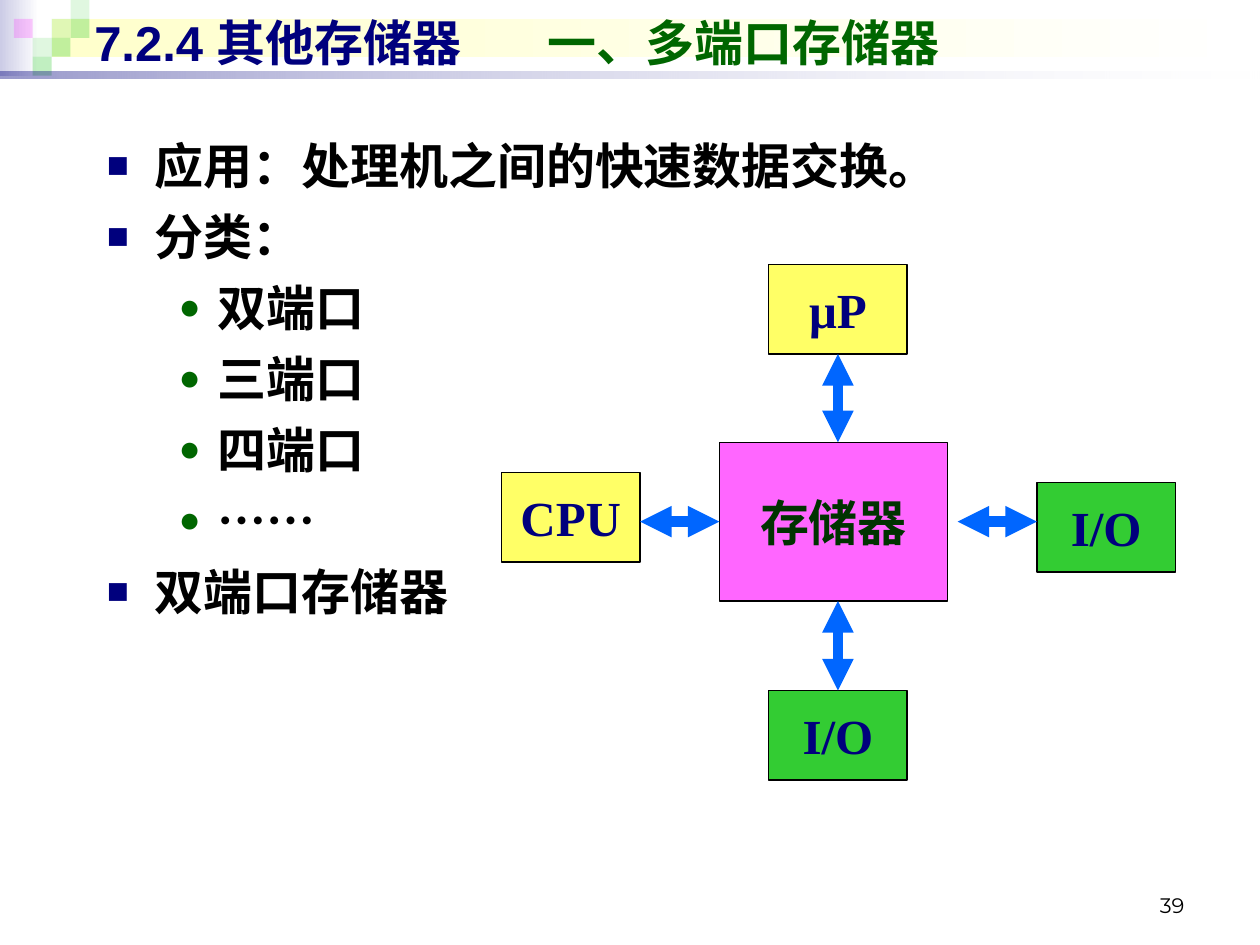
from lxml import etree
from pptx import Presentation
from pptx.dml.color import RGBColor
from pptx.enum.shapes import MSO_CONNECTOR, MSO_SHAPE
from pptx.enum.text import MSO_ANCHOR, PP_ALIGN
from pptx.oxml.ns import qn
from pptx.util import Inches, Pt

RECT, STRAIGHT = MSO_SHAPE.RECTANGLE, MSO_CONNECTOR.STRAIGHT
MIDDLE, BOTTOM = MSO_ANCHOR.MIDDLE, MSO_ANCHOR.BOTTOM
CENTER, RIGHT = PP_ALIGN.CENTER, PP_ALIGN.RIGHT

COLORS = {
    "navy": "00007D", "dark_green": "006600", "deep_green": "003300",
    "green": "33CC33", "yellow": "FFFF66", "pink": "FF66FF",
    "magenta": "FF00FF", "blue": "0066FF", "lavender": "CCCCE6",
    "cream": "FFFFCC", "white": "FFFFFF", "black": "000000",
}
SERIF, SANS, CJK, NUMBER_FONT = "Times New Roman", "Arial", "Noto Sans CJK SC", "Montserrat"

TITLE = [("7.2.4 其他存储器", "navy"), ("\t一、多端口存储器", "dark_green")]
OUTLINE = [  # level, text, font
    (0, "应用：处理机之间的快速数据交换。", SERIF),
    (0, "分类：", SERIF),
    (1, "双端口", SERIF),
    (1, "三端口", SERIF),
    (1, "四端口", SERIF),
    (1, "……", CJK),
    (0, "双端口存储器", SERIF),
]
LEVELS = [  # left margin, hanging indent, bullet, bullet colour
    (0.38, 0.38, "■", "navy"),
    (0.88, 0.31, "●", "dark_green"),
]
PAGE_NUMBER = "39"

PORT_W, PORT_H = 1.1, 0.71
BLOCKS = [  # text, left, top, width, height, fill, text colour
    ("存储器", 5.71, 3.51, 1.81, 1.26, "pink", "deep_green"),
    ("CPU", 3.98, 3.75, PORT_W, PORT_H, "yellow", "navy"),
    ("I/O", 8.23, 3.83, PORT_W, PORT_H, "green", "navy"),
    ("I/O", 6.1, 5.48, PORT_W, PORT_H, "green", "navy"),
    ("μP", 6.1, 2.1, PORT_W, PORT_H, "yellow", "navy"),
]
BUS_X, BUS_Y = 6.65, 4.14
BUSES = [
    (BUS_X, 2.81, BUS_X, 3.51), (BUS_X, 4.77, BUS_X, 5.48),
    (5.08, BUS_Y, 5.71, BUS_Y), (7.6, BUS_Y, 8.23, BUS_Y),
]

TILE, TILE_LEFT = 0.15, 0.11
TILES = [  # column, row, colour, opacity in percent
    (2, 1, "green", 15), (3, 0, "green", 15), (3, 1, "green", 30),
    (1, 2, "green", 15), (0, 1, "magenta", 20), (2, 2, "green", 30),
    (1, 3, "green", 30),
]


def rgb(name):
    return RGBColor.from_string(COLORS[name])


def set_opacity(color_parent, percent):
    color = color_parent.find(qn("a:srgbClr"))
    etree.SubElement(color, qn("a:alpha"), val=str(percent * 1000))


def add_rect(slide, left, top, width, height):
    rect = slide.shapes.add_shape(RECT, *map(Inches, (left, top, width, height)))
    rect.shadow.inherit = False
    rect.line.fill.background()
    return rect


def add_band(slide, box, start, end, opacities=(100, 100)):
    """Rectangle that fades from left to right."""
    fill = add_rect(slide, *box).fill
    fill.gradient()
    fill.gradient_angle = 0
    for stop, color, opacity in zip(fill.gradient_stops, (start, end), opacities):
        stop.color.rgb = rgb(color)
    if opacities != (100, 100):
        stops = fill._xPr.iter(qn("a:gs"))
        for stop, opacity in zip(stops, opacities):
            set_opacity(stop, opacity)


def add_tile(slide, column, row, color, opacity):
    tile = add_rect(slide, TILE_LEFT + column * TILE, row * TILE, TILE, TILE)
    tile.fill.solid()
    tile.fill.fore_color.rgb = rgb(color)
    set_opacity(tile.fill._xPr.find(qn("a:solidFill")), opacity)


def add_text_box(slide, left, top, width, height):
    frame = slide.shapes.add_textbox(*map(Inches, (left, top, width, height))).text_frame
    frame.word_wrap = True
    return frame


def style(run, color, font=SERIF, size=28, bold=True):
    run.font.size, run.font.bold, run.font.name = Pt(size), bold, font
    run.font.color.rgb = rgb(color)
    etree.SubElement(run.font._element, qn("a:ea"), typeface=CJK)


def add_title(slide):
    frame = add_text_box(slide, 0.65, 0.05, 9, 0.57)
    frame.vertical_anchor = MIDDLE
    paragraph = frame.paragraphs[0]
    tabs = etree.SubElement(paragraph._p.get_or_add_pPr(), qn("a:tabLst"))
    etree.SubElement(tabs, qn("a:tab"), pos=str(Inches(3.6)), algn="l")
    for text, color in TITLE:
        run = paragraph.add_run()
        run.text = text
        style(run, color, SANS)


def set_bullet(paragraph, level):
    margin, hanging, mark, color = LEVELS[level]
    props = paragraph._p.get_or_add_pPr()
    props.set("marL", str(Inches(margin)))
    props.set("indent", str(-Inches(hanging)))
    bullet_color = etree.SubElement(props, qn("a:buClr"))
    etree.SubElement(bullet_color, qn("a:srgbClr"), val=COLORS[color])
    etree.SubElement(props, qn("a:buSzPct"), val="75000")
    etree.SubElement(props, qn("a:buFont"), typeface=SANS)
    etree.SubElement(props, qn("a:buChar"), char=mark)


def add_outline(slide):
    frame = add_text_box(slide, 0.75, 0.99, 8.9, 5.83)
    frame.margin_top = Inches(0.09)
    for index, (level, text, font) in enumerate(OUTLINE):
        paragraph = frame.add_paragraph() if index else frame.paragraphs[0]
        paragraph.text = text
        paragraph.level = level
        set_bullet(paragraph, level)
        paragraph.line_spacing = Pt(33.5)
        paragraph.space_before = Pt(7 if index else 0)
        style(paragraph.runs[0], "black", font)


def add_block(slide, text, left, top, width, height, fill, color):
    block = add_rect(slide, left, top, width, height)
    block.fill.solid()
    block.fill.fore_color.rgb = rgb(fill)
    block.line.color.rgb = rgb("black")
    block.line.width = Pt(0.75)
    frame = block.text_frame
    frame.text = text
    frame.word_wrap = False
    frame.vertical_anchor = MIDDLE
    frame.paragraphs[0].alignment = CENTER
    style(frame.paragraphs[0].runs[0], color)


def add_bus(slide, *ends):
    """Thick line with an arrowhead at both ends."""
    bus = slide.shapes.add_connector(STRAIGHT, *map(Inches, ends))
    bus.line.color.rgb = rgb("blue")
    bus.line.width = Pt(6)
    line = bus.line._get_or_add_ln()
    for end in ("a:headEnd", "a:tailEnd"):
        etree.SubElement(line, qn(end), type="triangle")
    etree.SubElement(bus._element.spPr, qn("a:effectLst"))


def add_page_number(slide):
    frame = add_text_box(slide, 7.17, 6.83, 2.33, 0.5)
    frame.vertical_anchor = BOTTOM
    frame.text = PAGE_NUMBER
    frame.paragraphs[0].alignment = RIGHT
    style(frame.paragraphs[0].runs[0], "black", NUMBER_FONT, 12, False)


def main():
    deck = Presentation()
    deck.slide_width, deck.slide_height = Inches(10), Inches(7.5)
    slide = deck.slides.add_slide(deck.slide_layouts[6])
    add_band(slide, (0, 0, 0.31, 0.6), "lavender", "white")
    add_band(slide, (0.41, 0.15, 9.55, 0.3), "cream", "white")
    for tile in TILES:
        add_tile(slide, *tile)
    add_band(slide, (0, 0.57, 10, 0.05), "navy", "white", (40, 10))
    add_page_number(slide)
    add_title(slide)
    add_outline(slide)
    for block in BLOCKS:
        add_block(slide, *block)
    for bus in BUSES:
        add_bus(slide, *bus)
    deck.save("out.pptx")


if __name__ == "__main__":
    main()
